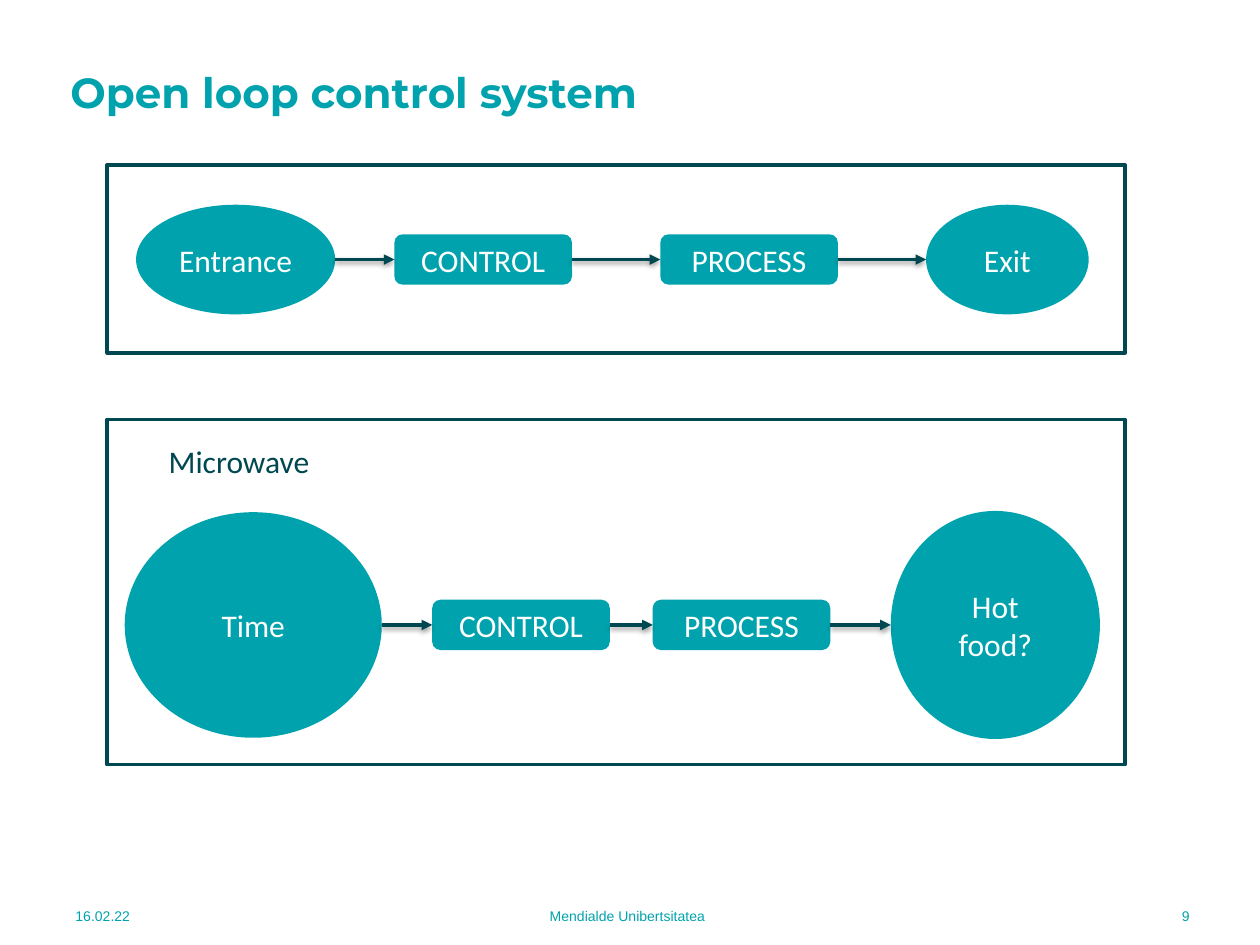
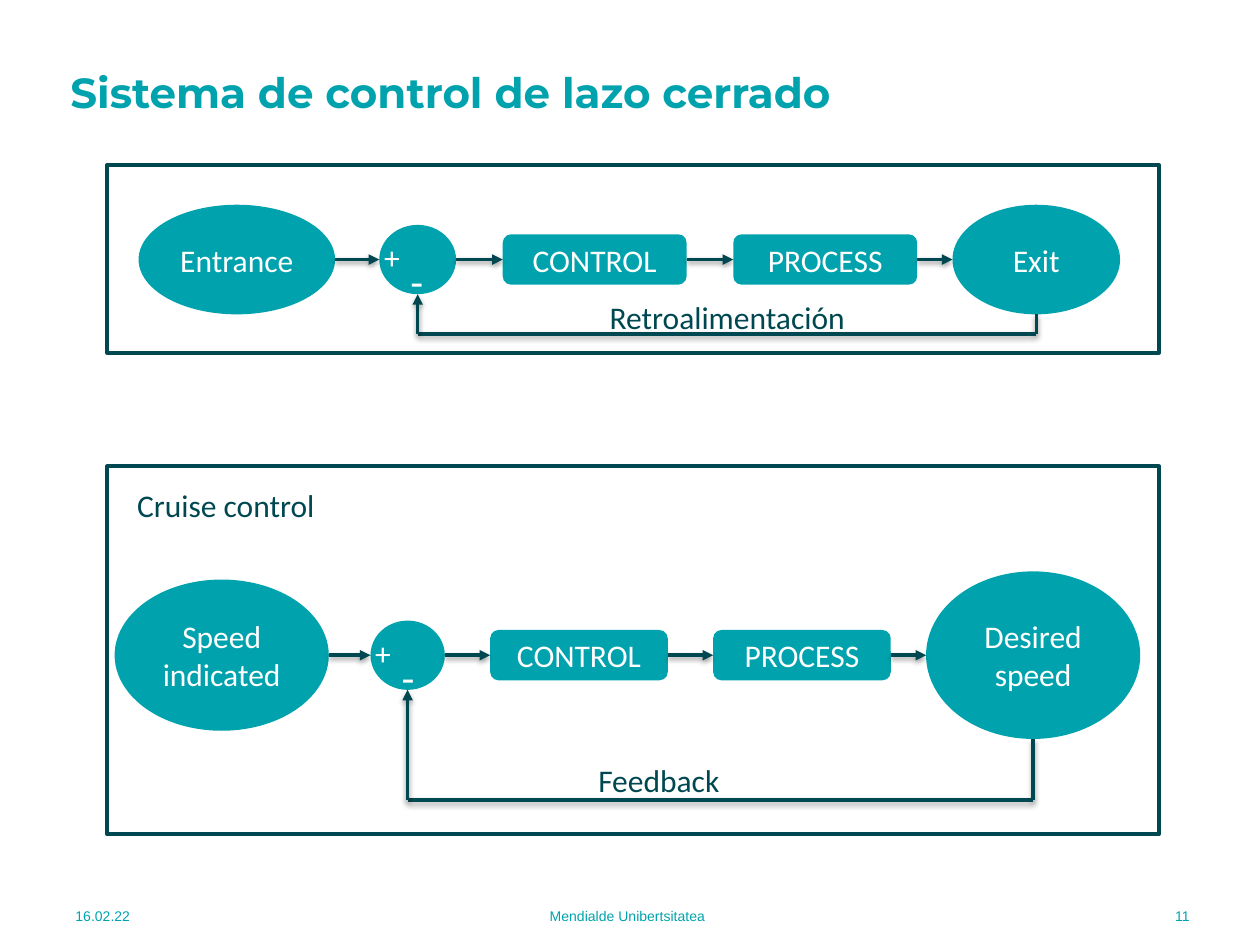
from itertools import pairwise

from lxml import etree
from pptx import Presentation
from pptx.dml.color import RGBColor
from pptx.enum.shapes import MSO_CONNECTOR as CXN, MSO_SHAPE as SHAPE
from pptx.enum.text import MSO_ANCHOR as ANCHOR, PP_ALIGN as ALIGN
from pptx.oxml.ns import qn
from pptx.util import Inches, Pt

TEAL, DARK, WHITE = "00A3AD", "004851", "FFFFFF"
DATE, FOOTER = "16.02.22", "Mendialde Unibertsitatea"
PANEL_LEFT, BLOCK_H = 0.85, 0.4
TOP, RIGHT, BOTTOM, LEFT = 0, 3, 2, 1

# Nodes: (kind, text, left, width, height), all centred on the panel's axis.
# Labels: (text, left, top, width, wrap)
SLIDES = [
    {"title": "Open loop control system", "number": "9", "panel_width": 8.08,
     "panels": [
         {"top": 1.31, "height": 1.49, "axis": 2.06, "nodes": [
             ("oval", "Entrance", 1.08, 1.58, 0.87),
             ("block", "CONTROL", 3.13, 1.41, BLOCK_H),
             ("block", "PROCESS", 5.24, 1.41, BLOCK_H),
             ("oval", "Exit", 7.35, 1.29, 0.87)]},
         {"top": 3.33, "height": 2.74, "axis": 4.96, "nodes": [
             ("oval", "Time", 0.99, 2.04, 1.79),
             ("block", "CONTROL", 3.43, 1.41, BLOCK_H),
             ("block", "PROCESS", 5.18, 1.41, BLOCK_H),
             ("oval", "Hot food?", 7.07, 1.66, 1.81)],
          "labels": [("Microwave", 1.24, 3.46, 1.7, True)]},
     ]},
    {"title": "Sistema de control de lazo cerrado", "number": "11", "panel_width": 8.35,
     "panels": [
         {"top": 1.31, "height": 1.49, "axis": 2.06, "nodes": [
             ("oval", "Entrance", 1.1, 1.56, 0.87),
             ("sum", "", 3.01, 0.61, 0.55),
             ("block", "CONTROL", 3.99, 1.46, BLOCK_H),
             ("block", "PROCESS", 5.82, 1.46, BLOCK_H),
             ("oval", "Exit", 7.56, 1.33, 0.87)],
          "feedback_y": 2.65,
          "labels": [("Retroalimentación", 4.74, 2.32, 2.16, False)]},
         {"top": 3.7, "height": 2.92, "axis": 5.2, "nodes": [
             ("oval", "Speed indicated", 0.91, 1.7, 1.2),
             ("sum", "", 2.94, 0.59, 0.55),
             ("block", "CONTROL", 3.89, 1.41, BLOCK_H),
             ("block", "PROCESS", 5.66, 1.41, BLOCK_H),
             ("oval", "Desired speed", 7.35, 1.7, 1.33)],
          "feedback_y": 6.35,
          "labels": [("Cruise control", 0.99, 3.81, 3.74, True),
                     ("Feedback", 4.65, 5.99, 1.17, False)]},
     ]},
]


def rgb(hex_color):
    return RGBColor.from_string(hex_color)


def write(tf, text, size=18, font="Calibri", color=DARK, bold=False,
          align=ALIGN.LEFT, anchor=ANCHOR.TOP, wrap=True, after=0, spacing=None):
    tf.word_wrap = wrap
    tf.vertical_anchor = anchor
    p = tf.paragraphs[0]
    p.alignment = align
    p.space_after = Pt(after)
    if spacing:
        p.line_spacing = spacing
    r = p.add_run()
    r.text = text
    r.font.size, r.font.name, r.font.bold = Pt(size), font, bold
    r.font.color.rgb = rgb(color)


def add_text(s, text, left, top, width, height, **fmt):
    box = s.shapes.add_textbox(*map(Inches, (left, top, width, height)))
    write(box.text_frame, text, **fmt)


def add_box(s, shape_type, left, top, width, height, fill, line=None):
    sp = s.shapes.add_shape(shape_type, *map(Inches, (left, top, width, height)))
    sp.shadow.inherit = False
    sp.fill.solid()
    sp.fill.fore_color.rgb = rgb(fill)
    if line:
        sp.line.color.rgb = rgb(line)
        sp.line.width = Pt(2)
    else:
        sp.line.fill.background()
    return sp


def add_line(s, start, end, arrow=True):
    """Dark line with a soft shadow below it; start and end are (x, y) in EMU."""
    cxn = s.shapes.add_connector(CXN.STRAIGHT, *start, *end)
    cxn.line.color.rgb = rgb(DARK)
    cxn.line.width = Pt(2)
    if arrow:
        etree.SubElement(cxn.line._get_or_add_ln(), qn("a:tailEnd"), type="triangle")
    effects = etree.SubElement(cxn._element.spPr, qn("a:effectLst"))
    shadow = etree.SubElement(effects, qn("a:outerShdw"), blurRad=str(Pt(3.1)),
                              dist=str(Pt(1.6)), dir="5400000", rotWithShape="0")
    black = etree.SubElement(shadow, qn("a:srgbClr"), val="000000")
    etree.SubElement(black, qn("a:alpha"), val="38000")
    return cxn


def side(sp, where):
    """Middle of one side of a shape."""
    x, y = sp.left + sp.width // 2, sp.top + sp.height // 2
    return {TOP: (x, sp.top), LEFT: (sp.left, y),
            BOTTOM: (x, sp.top + sp.height), RIGHT: (sp.left + sp.width, y)}[where]


def add_node(s, axis, kind, text, left, width, height):
    shape_type = SHAPE.ROUNDED_RECTANGLE if kind == "block" else SHAPE.OVAL
    sp = add_box(s, shape_type, left, axis - height / 2, width, height, TEAL)
    if kind == "sum":
        add_text(s, "+", left - 0.06, axis - 0.22, 0.3, 0.4, color=WHITE)
        add_text(s, "-", left + 0.15, axis - 0.08, 0.3, 0.5, size=24, color=WHITE)
    else:
        write(sp.text_frame, text, color=WHITE, align=ALIGN.CENTER, anchor=ANCHOR.MIDDLE)
    return kind, sp


def link(s, source, target):
    (source_kind, a), (target_kind, b) = source, target
    cxn = add_line(s, side(a, RIGHT), side(b, LEFT))
    if source_kind == "block":
        cxn.begin_connect(a, RIGHT)
    if target_kind == "block":
        cxn.end_connect(b, LEFT)


def add_feedback(s, output, summing, y):
    start, end = side(output, BOTTOM), side(summing, BOTTOM)
    corners = [start, (start[0], Inches(y)), (end[0], Inches(y)), end]
    for a, b in pairwise(corners):
        add_line(s, a, b, arrow=b is end)


def add_panel(s, width, panel):
    add_box(s, SHAPE.RECTANGLE, PANEL_LEFT, panel["top"], width, panel["height"], WHITE, DARK)
    nodes = [add_node(s, panel["axis"], *node) for node in panel["nodes"]]
    for source, target in pairwise(nodes):
        link(s, source, target)
    if "feedback_y" in panel:
        summing = next(sp for kind, sp in nodes if kind == "sum")
        add_feedback(s, nodes[-1][1], summing, panel["feedback_y"])
    for text, left, top, label_width, wrap in panel.get("labels", []):
        add_text(s, text, left, top, label_width, 0.4, wrap=wrap)


def add_frame(s, title, number):
    """Title and footer line."""
    add_text(s, title, 0.46, 0.52, 8.38, 0.47, size=24, font="Montserrat", color=TEAL,
             bold=True, anchor=ANCHOR.MIDDLE, spacing=0.9)
    for text, left, width, align in [(DATE, 0.5, 1.29, ALIGN.LEFT),
                                     (FOOTER, 2.37, 5.22, ALIGN.CENTER),
                                     (number, 8.26, 1.28, ALIGN.RIGHT)]:
        add_text(s, text, left, 7.07, width, 0.4, size=8, font="Arial", color=TEAL,
                 align=align, anchor=ANCHOR.MIDDLE, after=6)


def main():
    prs = Presentation()
    prs.slide_width, prs.slide_height = Inches(10), Inches(7.5)
    for content in SLIDES:
        s = prs.slides.add_slide(prs.slide_layouts[6])
        add_frame(s, content["title"], content["number"])
        for panel in content["panels"]:
            add_panel(s, content["panel_width"], panel)
    prs.save("out.pptx")


if __name__ == "__main__":
    main()
